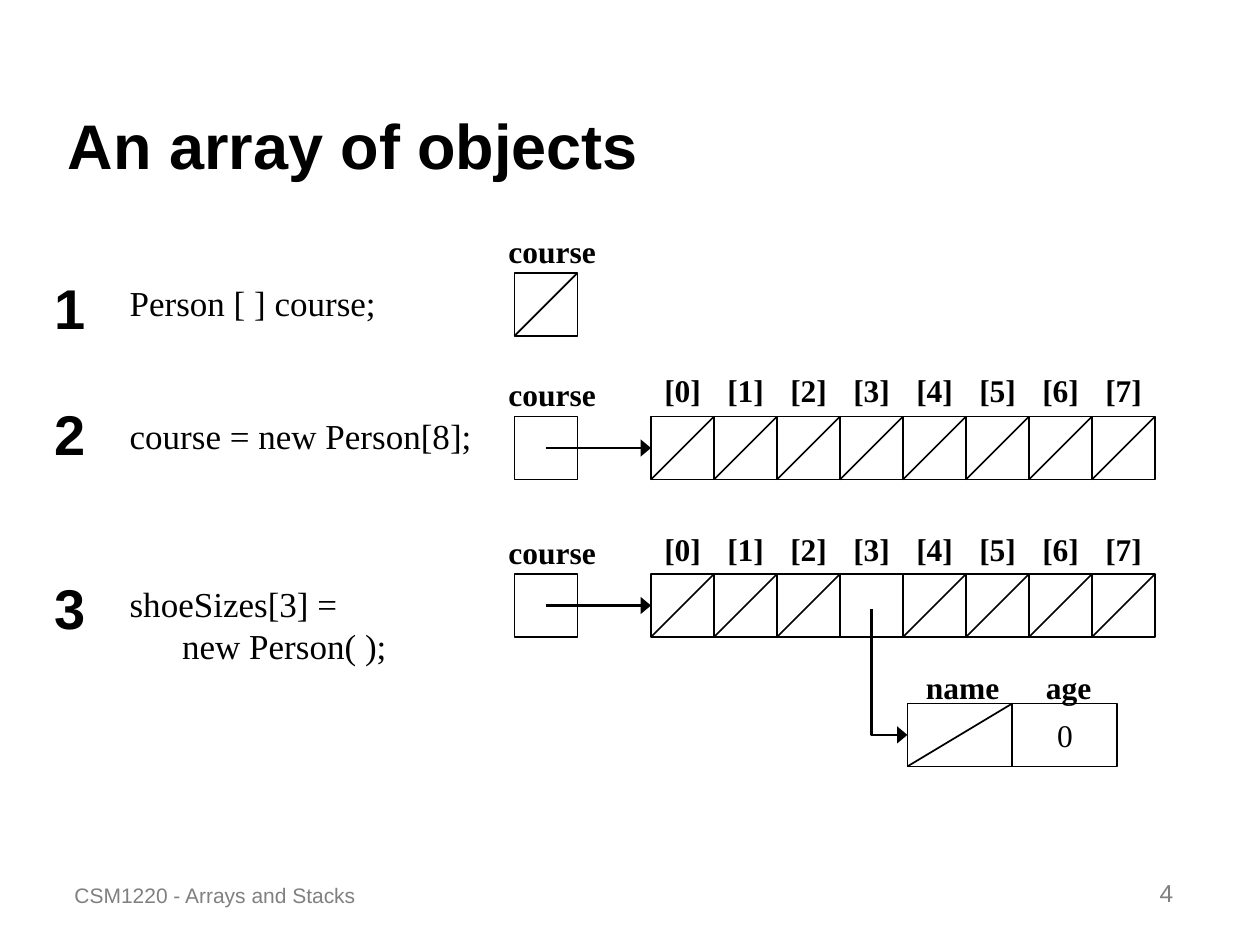
from pptx import Presentation
from pptx.dml.color import RGBColor
from pptx.enum import shapes, text
from pptx.oxml.ns import qn
from pptx.util import Pt
from lxml import etree

SERIF, SANS = "Times New Roman", "Arial"
BLACK, GREY = "000000", "808080"
CELL = 36
REFERENCE_X, ARRAY_X = 294, 372
DECLARED_Y, CREATED_Y, FILLED_Y = 156, 238, 328
PERSON_X, PERSON_Y, FIELD = 518.5, 402, 60


def style(frame, size, font, color, bold=False):
    for paragraph in frame.paragraphs:
        for run in paragraph.runs:
            run.font.size = Pt(size)
            run.font.name = font
            run.font.bold = bold
            run.font.color.rgb = RGBColor.from_string(color)


def connect(x1, y1, x2, y2, width=1, arrow=False, kind=shapes.MSO_CONNECTOR.STRAIGHT):
    line = slide.shapes.add_connector(kind, Pt(x1), Pt(y1), Pt(x2), Pt(y2))
    line.line.width = Pt(width)
    line.line.color.rgb = RGBColor.from_string(BLACK)
    if arrow:
        outline = line._element.spPr.find(qn("a:ln"))
        etree.SubElement(outline, qn("a:tailEnd"), type="triangle", w="lg", len="med")
    etree.SubElement(line._element.spPr, qn("a:effectLst"))
    return line


prs = Presentation()
prs.slide_width, prs.slide_height = Pt(720), Pt(540)
slide = prs.slides.add_slide(prs.slide_layouts[5])

title = slide.shapes.title
title.left, title.top, title.width, title.height = Pt(31.5), Pt(17.5), Pt(652.5), Pt(90)
title.text_frame.text = "An array of objects"
title.text_frame.auto_size = text.MSO_AUTO_SIZE.NONE
title.text_frame.vertical_anchor = text.MSO_ANCHOR.BOTTOM
title.text_frame.paragraphs[0].alignment = text.PP_ALIGN.LEFT
style(title.text_frame, 36, SANS, BLACK, True)

labels = [
    ("1", 24, 152.5, 32.5, 46, 32, SANS, True),
    ("Person [ ] course;", 67, 157.5, 155, 31.5, 20, SERIF, False),
    ("2", 24, 224.5, 32.5, 46, 32, SANS, True),
    ("course = new Person[8];", 67, 233.5, 209.5, 31.5, 20, SERIF, False),
    ("3", 24, 324, 32.5, 46, 32, SANS, True),
    ("shoeSizes[3] =\nnew Person( );", 67, 329.5, 161, 55.5, 20, SERIF, False),
    ("name", 522, 378, 56, 29, 18, SERIF, True),
    ("age", 590.5, 378, 40, 29, 18, SERIF, True),
]
for y in (DECLARED_Y, CREATED_Y, FILLED_Y):
    labels.append(("course", 283.5, y - 27, 64, 29, 18, SERIF, True))
for y in (208.5, 299.5):
    for index in range(8):
        labels.append((f"[{index}]", 372.5 + index * CELL, y, 35, 29, 18, SERIF, True))

for wording, x, y, width, height, size, font, bold in labels:
    label = slide.shapes.add_textbox(Pt(x), Pt(y), Pt(width), Pt(height))
    label.text_frame.text = wording
    label.text_frame.word_wrap = False
    label.text_frame.margin_right = 0
    for continuation in label.text_frame.paragraphs[1:]:
        continuation._p.get_or_add_pPr().set("marL", str(Pt(30)))
    style(label.text_frame, size, font, BLACK, bold)
    for paragraph in label.text_frame.paragraphs:
        paragraph.alignment = text.PP_ALIGN.LEFT
    label.text_frame.auto_size = text.MSO_AUTO_SIZE.NONE
    label.text_frame.word_wrap = True

cells = [
    (REFERENCE_X, DECLARED_Y, CELL, True, ""),
    (REFERENCE_X, CREATED_Y, CELL, False, ""),
    (REFERENCE_X, FILLED_Y, CELL, False, ""),
    (PERSON_X, PERSON_Y, FIELD, True, ""),
    (PERSON_X + FIELD, PERSON_Y, FIELD, False, "0"),
]
for index in range(8):
    x = ARRAY_X + index * CELL
    cells.append((x, CREATED_Y, CELL, True, ""))
    cells.append((x, FILLED_Y, CELL, index != 3, ""))

for x, y, width, is_null, value in cells:
    cell = slide.shapes.add_shape(shapes.MSO_SHAPE.RECTANGLE, Pt(x), Pt(y), Pt(width), Pt(CELL))
    cell.shadow.inherit = False
    cell.fill.background()
    cell.line.width = Pt(1)
    cell.line.color.rgb = RGBColor.from_string(BLACK)
    if value:
        cell.text_frame.text = value
        cell.text_frame.word_wrap = False
        cell.text_frame.vertical_anchor = text.MSO_ANCHOR.MIDDLE
        cell.text_frame.paragraphs[0].alignment = text.PP_ALIGN.CENTER
        style(cell.text_frame, 18, SERIF, BLACK)
    if is_null:
        connect(x, y + CELL, x + width, y)

for y in (CREATED_Y, FILLED_Y):
    connect(REFERENCE_X + CELL / 2, y + CELL / 2, ARRAY_X, y + CELL / 2, 1.5, True)

element_x = ARRAY_X + 3.5 * CELL
connect(element_x, 348, element_x, 366, 1.5)
drop = PERSON_Y + CELL / 2 - (FILLED_Y + CELL)
reach = PERSON_X - element_x
center_x, center_y = element_x + reach / 2, FILLED_Y + CELL + drop / 2
to_person = connect(center_x - drop / 2, center_y - reach / 2,
                    center_x + drop / 2, center_y + reach / 2,
                    1.5, True, shapes.MSO_CONNECTOR.ELBOW)
placement = to_person._element.spPr.find(qn("a:xfrm"))
placement.set("rot", str(270 * 60000))
placement.set("flipH", "1")
to_person._element.spPr.find(qn("a:prstGeom")).set("prst", "bentConnector2")

for wording, x, width, size, alignment in (
    ("CSM1220 - Arrays and Stacks", 35.5, 216, 12, text.PP_ALIGN.LEFT),
    ("4", 527.5, 150, 14, text.PP_ALIGN.RIGHT),
):
    footer = slide.shapes.add_textbox(Pt(x), Pt(486), Pt(width), Pt(36))
    footer.text_frame.text = wording
    footer.text_frame.word_wrap = True
    footer.text_frame.vertical_anchor = text.MSO_ANCHOR.BOTTOM
    footer.text_frame.paragraphs[0].alignment = alignment
    style(footer.text_frame, size, SANS, GREY)

prs.save("out.pptx")
